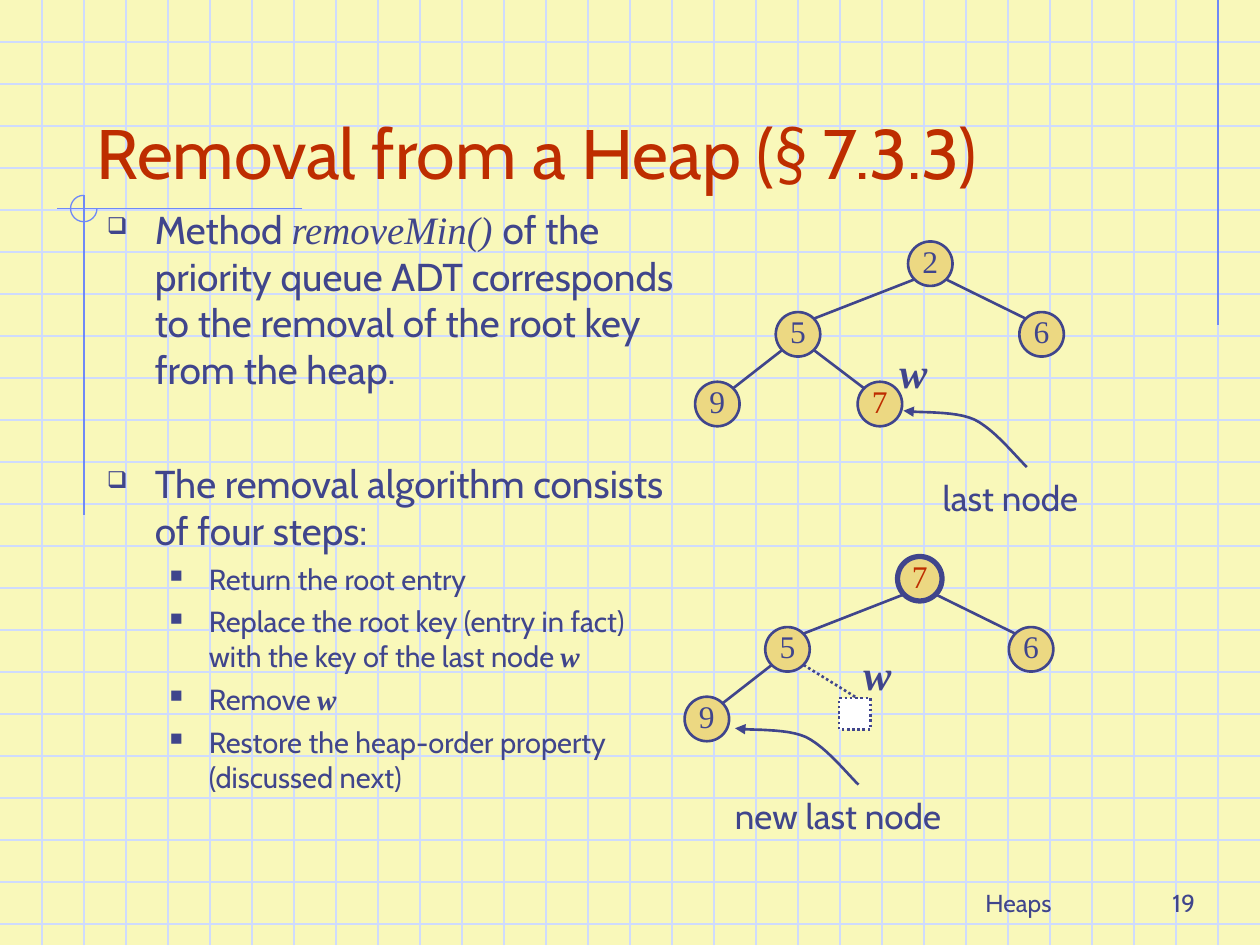
from lxml import etree
from pptx import Presentation
from pptx.dml.color import RGBColor
from pptx.enum.dml import MSO_LINE as Dash
from pptx.enum.shapes import MSO_CONNECTOR as Conn, MSO_SHAPE as Geo
from pptx.enum.text import MSO_ANCHOR as Anchor, MSO_AUTO_SIZE as Fit, PP_ALIGN as Align
from pptx.oxml.ns import qn
from pptx.util import Emu, Inches, Pt

PAPER = RGBColor(0xF9, 0xF8, 0xBA)
GRID = RGBColor(0xCF, 0xDB, 0xFD)
RULE = RGBColor(0x6F, 0x89, 0xF7)
INK = RGBColor(0x40, 0x45, 0x8C)
RED = RGBColor(0xBE, 0x2D, 0x00)
GOLD = RGBColor(0xEC, 0xD8, 0x82)
WHITE = RGBColor(0xFF, 0xFF, 0xFF)

SANS, SERIF = "Cabin", "Times New Roman"
ITALIC = dict(name=SERIF, italic=True)
KEY = dict(name=SERIF, bold=True, italic=True)
COLS, ROWS = 30, 22.5          # the graph paper: three squares to the inch
RADIUS, RIM = 0.53, 0.37       # node radius, and its 45 degree offset


def g(n):
    """Length of n grid squares."""
    return Emu(round(n * Inches(1) / 3))


class Board:
    def __init__(self, prs):
        self.s = prs.slides.add_slide(prs.slide_layouts[6])
        fill = self.s.background.fill
        fill.solid()
        fill.fore_color.rgb = PAPER

    def stroke(self, sp, color=INK, width=1.5, dash=None):
        sp.line.color.rgb = color
        sp.line.width = Pt(width)
        if dash:
            sp.line.dash_style = dash

    def line(self, x1, y1, x2, y2, **style):
        sp = self.s.shapes.add_connector(Conn.STRAIGHT, g(x1), g(y1), g(x2), g(y2))
        etree.SubElement(sp._element.spPr, qn("a:effectLst"))
        self.stroke(sp, **style)

    def shape(self, geo, x, y, w, h, fill=None, **style):
        sp = self.s.shapes.add_shape(geo, g(x), g(y), g(w), g(h))
        sp.shadow.inherit = False
        if fill is None:
            sp.fill.background()
        else:
            sp.fill.solid()
            sp.fill.fore_color.rgb = fill
        self.stroke(sp, **style)
        return sp

    def run(self, p, text, **fmt):
        r = p.add_run()
        r.text = text
        fmt = dict(name=SANS, size=20, color=INK) | fmt
        r.font.color.rgb = fmt.pop("color")
        r.font.size = Pt(fmt.pop("size"))
        for key, value in fmt.items():
            setattr(r.font, key, value)

    def text(self, x, y, w, h, text="", align=Align.LEFT, anchor=Anchor.TOP,
             wrap=True, **fmt):
        tf = self.s.shapes.add_textbox(g(x), g(y), g(w), g(h)).text_frame
        tf.word_wrap = wrap
        tf.auto_size = Fit.NONE if wrap else Fit.SHAPE_TO_FIT_TEXT
        tf.vertical_anchor = anchor
        tf.paragraphs[0].alignment = align
        if text:
            self.run(tf.paragraphs[0], text, **fmt)
        return tf

    def bullet(self, p, char, left, hang):
        pPr = p._p.get_or_add_pPr()
        pPr.set("marL", str(Inches(left)))
        pPr.set("indent", str(-Inches(hang)))
        clr = etree.SubElement(pPr, qn("a:buClr"))
        etree.SubElement(clr, qn("a:srgbClr"), val=str(INK))
        etree.SubElement(pPr, qn("a:buSzPct"), val="60000")
        etree.SubElement(pPr, qn("a:buChar"), char=char)

    def outline(self, x, y, w, h, items):
        tf = self.text(x, y, w, h)
        for i, (level, before, runs) in enumerate(items):
            p = tf.add_paragraph() if i else tf.paragraphs[0]
            p.level = level
            self.bullet(p, *(("❑", 0.38, 0.38), ("■", 0.81, 0.31))[level])
            p.space_before = Pt(before)
            for text, fmt in runs:
                self.run(p, text, size=(22.2, 16.6)[level], **fmt)

    def node(self, x, y, label, color=INK, width=1.5):
        sp = self.shape(Geo.OVAL, x - RADIUS, y - RADIUS, 2 * RADIUS, 2 * RADIUS,
                        GOLD, width=width)
        tf = sp.text_frame
        margins = dict(margin_left=0, margin_right=0, margin_top=0,
                       margin_bottom=Inches(0.05))
        for key, value in margins.items():
            setattr(tf, key, value)
        tf.word_wrap = False
        tf.vertical_anchor = Anchor.MIDDLE
        tf.paragraphs[0].alignment = Align.CENTER
        self.run(tf.paragraphs[0], label, name=SERIF, size=18, color=color)

    def edge(self, parent, child):
        (px, py), (cx, cy) = parent, child
        side = RIM if cx > px else -RIM
        self.line(px + side, py + RIM, cx - side, cy - RIM)

    def arrow(self, x, y):
        """Curved pointer that starts at (x, y) and runs up to the left."""
        curves = (((0, 0), (-0.21, -0.19), (-0.77, -0.9), (-1.25, -1.13)),
                  ((-1.25, -1.13), (-1.73, -1.35), (-2.6, -1.28), (-2.94, -1.34)))
        points = []
        for a, b, c, d in curves:
            for t in (k / 12 for k in range(1, 13)):
                u = 1 - t
                points.append(tuple(
                    g(o + u**3 * m + 3 * u * u * t * n + 3 * u * t * t * q + t**3 * r)
                    for o, m, n, q, r in zip((x, y), a, b, c, d)))
        path = self.s.shapes.build_freeform(g(x), g(y))
        path.add_line_segments(points, close=False)
        sp = path.convert_to_shape()
        sp.shadow.inherit = False
        sp.fill.background()
        self.stroke(sp)
        etree.SubElement(sp.line._get_or_add_ln(), qn("a:tailEnd"), type="triangle")

    def tree(self, dx, dy, keys, edges, marked, bold=None):
        places = dict(root=(22.15, 6.28), left=(19, 7.96), right=(24.8, 7.96),
                      outer=(17.08, 9.62), inner=(20.95, 9.62))
        at = {k: (x + dx, y + dy) for k, (x, y) in places.items()}
        for parent, child in edges:
            self.edge(at[parent], at[child])
        for k, label in keys.items():
            self.node(*at[k], label, color=RED if k == marked else INK,
                      width=3 if k == bold else 1.5)


def main():
    prs = Presentation()
    prs.slide_width, prs.slide_height = g(COLS), g(ROWS)
    b = Board(prs)

    # Graph paper and margin rules
    for row in range(1, 23):
        b.line(0, row, COLS, row, color=GRID, width=0.75)
    for col in range(1, COLS):
        b.line(col, 0, col, ROWS, color=GRID, width=0.75)
    for ends in ((29, 0, 29, 7.74), (7.2, 4.97, 1.35, 4.97), (2, 4.65, 2, 12.27)):
        b.line(*ends, color=RULE, width=0.75)
    arc = b.shape(Geo.ARC, 1.68, 4.65, 0.63, 0.63, color=RULE, width=0.75)
    arc.adjustments[0], arc.adjustments[1] = 0, 162   # right round to the top

    # Title and outline
    b.text(2, 1, 25.5, 3.75, "Removal from a Heap (§ 7.3.3)", anchor=Anchor.BOTTOM,
           size=40, color=RED)
    b.outline(2.25, 4.75, 14.25, 17.25, [
        (0, 0, [("Method ", {}), ("removeMin() ", ITALIC),
                ("of the priority queue ADT corresponds to the removal of the "
                 "root key from the heap.", {})]),
        (0, 38.6, [("The removal algorithm consists of four steps:", {})]),
        (1, 4.5, [("Return the root entry", {})]),
        (1, 4.5, [("Replace the root key (entry in fact) with the key of the "
                   "last node ", {}), ("w", KEY)]),
        (1, 4.5, [("Remove ", {}), ("w", KEY)]),
        (1, 4.5, [("Restore the heap-order property (discussed next)", {})]),
    ])

    # Heap before and after the removal
    edges = [("root", "left"), ("root", "right"), ("left", "outer")]
    b.tree(0, 0, dict(root="2", left="5", right="6", outer="9", inner="7"),
           edges + [("left", "inner")], marked="inner")
    b.tree(-0.25, 7.5, dict(root="7", left="5", right="6", outer="9"),
           edges, marked="root", bold="root")

    # Removed node
    b.line(20.36, 16.59, 19.13, 15.83, dash=Dash.ROUND_DOT)
    b.shape(Geo.RECTANGLE, 19.98, 16.62, 0.75, 0.75, WHITE, dash=Dash.ROUND_DOT)

    # Pointers and labels
    for x, y in ((24.45, 11.12), (20.44, 18.68)):
        b.arrow(x, y)
    for x, y in ((21.12, 8.1), (20.26, 15.3)):
        b.text(x, y, 1.26, 1.5, "w", wrap=False, size=24, **KEY)
    b.text(22.15, 11.2, 4.2, 1.32, "last node", wrap=False)
    b.text(17.2, 18.76, 6.06, 1.32, "new last node", wrap=False)

    # Footer
    b.text(19.5, 20.5, 9.5, 1.5, "Heaps", Align.CENTER, Anchor.BOTTOM, size=14)
    b.text(22.5, 20.5, 6.25, 1.5, "19", Align.RIGHT, Anchor.BOTTOM, size=14)

    prs.save("out.pptx")


if __name__ == "__main__":
    main()
